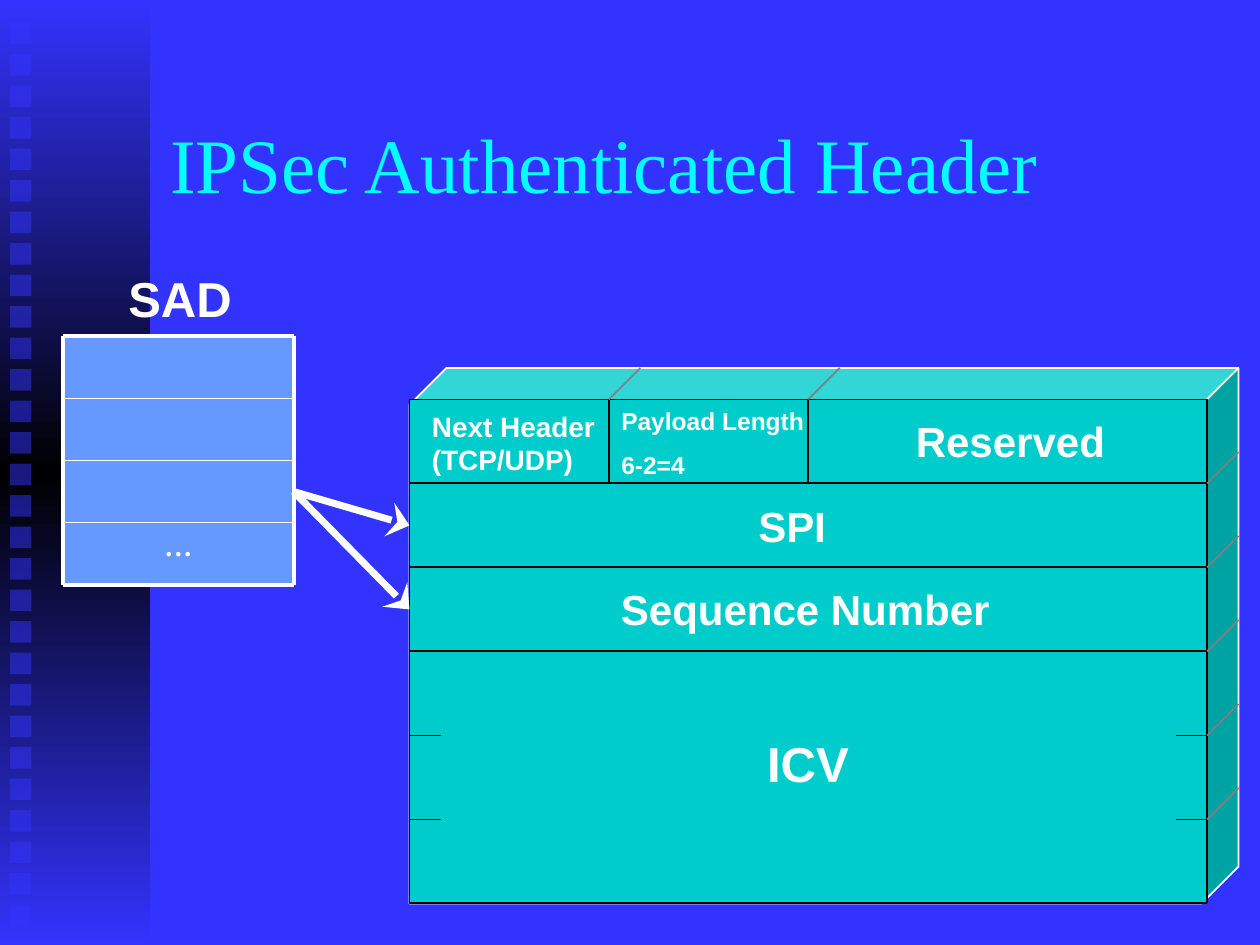
import copy
from dataclasses import dataclass

import pptx
import pptx.dml.color
import pptx.enum.dml
import pptx.enum.shapes
import pptx.enum.text
import pptx.util
from pptx.util import Inches

Shape = pptx.enum.shapes.MSO_SHAPE
Align = pptx.enum.text.PP_ALIGN
Anchor = pptx.enum.text.MSO_ANCHOR
Fit = pptx.enum.text.MSO_AUTO_SIZE


def rgb(code):
    return pptx.dml.color.RGBColor.from_string(code)


@dataclass(frozen=True)
class Theme:
    back: str = "3333FF"
    dark: str = "000000"
    white: str = "FFFFFF"
    cyan: str = "00FFFF"
    teal: str = "00CCCC"
    sky: str = "6699FF"
    gray: str = "808080"
    sans: str = "Arial"
    serif: str = "Times New Roman"
    title: float = 44
    large: float = 28
    field: float = 24
    small: float = 16
    tiny: float = 14


T = Theme()


def block(slide, box, fill, line=None, kind=Shape.RECTANGLE):
    shape = slide.shapes.add_shape(kind, *map(Inches, box))
    shape.shadow.inherit = False
    shape.fill.solid()
    shape.fill.fore_color.rgb = rgb(fill)
    if line:
        shape.line.color.rgb = rgb(line)
        shape.line.width = pptx.util.Pt(1)
    else:
        shape.line.fill.background()
    return shape


def rule(slide, start, end, color, width=1):
    line = slide.shapes.add_connector(
        pptx.enum.shapes.MSO_CONNECTOR.STRAIGHT, *map(Inches, start + end))
    line.line.color.rgb = rgb(color)
    line.line.width = pptx.util.Pt(width)
    props = line._element.spPr
    props.append(props.makeelement(pptx.oxml.ns.qn("a:effectLst"), {}))
    return line


def style(para, size, color=T.white, face=T.sans, bold=True):
    font = para.font
    font.size, font.name, font.bold = pptx.util.Pt(size), face, bold
    font.color.rgb = rgb(color)


def label(slide, box, lines, size, wrap=False, gap=0):
    frame = slide.shapes.add_textbox(*map(Inches, box)).text_frame
    frame.word_wrap = wrap
    frame.auto_size = Fit.SHAPE_TO_FIT_TEXT
    for i, line in enumerate(lines):
        para = frame.add_paragraph() if i else frame.paragraphs[0]
        para.text = line
        if i:
            para.space_before = pptx.util.Pt(gap)
        style(para, size)


def rail(slide, box):
    """Shaded band on the left with a column of small squares."""
    left, top, _, _ = box
    band = block(slide, box, T.back)
    band.fill.gradient()
    band.fill.gradient_angle = 90
    stops = band.fill.gradient_stops
    for stop, color, place in zip(stops, (T.back, T.dark), (0, 0.5)):
        stop.color.rgb = rgb(color)
        stop.position = place
    grad = band._element.spPr.find(".//" + pptx.oxml.ns.qn("a:gsLst"))
    last = copy.deepcopy(grad[0])
    last.set("pos", "100000")
    grad.append(last)
    for i in range(29):
        dot = block(slide, (left + 0.08, top + 0.18 + 0.25 * i, 0.17, 0.17), T.back)
        color = dot._element.spPr.find(".//" + pptx.oxml.ns.qn("a:srgbClr"))
        color.append(color.makeelement(pptx.oxml.ns.qn("a:alpha"), {"val": "50000"}))


def heading(slide, box, text):
    title = slide.shapes.title
    title.left, title.top, title.width, title.height = map(Inches, box)
    frame = title.text_frame
    frame.text = text
    frame.word_wrap = True
    frame.auto_size = Fit.NONE
    frame.vertical_anchor = Anchor.MIDDLE
    para = frame.paragraphs[0]
    para.alignment = Align.LEFT
    style(para, T.title, T.cyan, T.serif, False)


def store(slide, box):
    """Draw the SAD list and return its cells from top to bottom."""
    left, top, width, height = box
    right, base, count = left + width, top + height, 4
    step = height / count
    cells = [block(slide, (left, top + i * step, width, step), T.sky)
             for i in range(count)]
    frame = cells[-1].text_frame
    frame.text = "…"
    frame.vertical_anchor = Anchor.TOP
    frame.paragraphs[0].alignment = Align.CENTER
    style(frame.paragraphs[0], T.small, face=T.serif)
    for i in range(count + 1):
        y = top + i * step
        rule(slide, (left, y), (right, y), T.white, 1 if 0 < i < count else 2.25)
    for x in (left, right):
        rule(slide, (x, top), (x, base), T.white, 2.25)
    label(slide, (left + 0.42, top - 0.59, 1.06, 0.57), ["SAD"], T.large)
    return cells


def header(slide, box):
    """Draw the header block and return its SPI and sequence rows."""
    left, top, width, height = box
    right, deep = left + width, 0.25
    row, part = height / 6, width / 4

    cube = block(slide, (left, top - deep, width + deep, height + deep),
                 T.teal, T.white, Shape.CUBE)
    cube.adjustments[0] = 0.069
    block(slide, box, T.teal, T.white)
    spi, seq, _ = [block(slide, (left, top + row * n, width, row * span), T.teal, T.dark)
                   for n, span in ((1, 1), (2, 1), (3, 3))]
    for n, span in ((0, 1), (1, 1), (2, 2)):
        block(slide, (left + part * n, top, part * span, row), T.teal, T.dark)

    for n in (4, 5):
        y = top + row * n
        for x in (left, right - deep):
            rule(slide, (x, y), (x + deep, y), T.dark)
    seams = [(right, top + row * n) for n in range(1, 6)]
    seams += [(left + part * n, top) for n in (1, 2)]
    for x, y in seams:
        rule(slide, (x, y), (x + deep, y - deep), T.gray)

    for x, y, w, h, text, size in (
            (2.67, 0.75, 0.8, 0.5, "SPI", T.field),
            (1.58, 1.41, 3.2, 0.5, "Sequence Number", T.field),
            (2.74, 2.6, 0.92, 0.57, "ICV", T.large),
            (3.92, 0.08, 1.76, 0.5, "Reserved", T.field)):
        label(slide, (left + x, top + y, w, h), [text], size)
    label(slide, (left + 0.08, top + 0.03, 1.67, 0.64),
          ["Next Header\v(TCP/UDP)"], T.small, True)
    label(slide, (left + part, top, 1.67, 0.69),
          ["Payload Length", "6-2=4"], T.tiny, True, 8.8)
    return spi, seq


def arrow(slide, start, end):
    line = rule(slide, (0, 0), (1, 1), T.white, 4)
    line.begin_connect(start, 3)
    line.end_connect(end, 1)
    stroke = line.line._get_or_add_ln()
    stroke.append(stroke.makeelement(
        pptx.oxml.ns.qn("a:tailEnd"), {"type": "stealth", "w": "lg", "len": "med"}))


def main():
    deck = pptx.Presentation()
    deck.slide_width, deck.slide_height = Inches(10), Inches(7.5)
    slide = deck.slides.add_slide(deck.slide_layouts[5])
    slide.background.fill.solid()
    slide.background.fill.fore_color.rgb = rgb(T.back)
    rail(slide, (0, 0, 1.19, 7.5))
    heading(slide, (1.25, 0.67, 8.5, 1.25), "IPSec Authenticated Header")
    rows = header(slide, (3.25, 3.17, 6.33, 4))
    cells = store(slide, (0.5, 2.67, 1.83, 1.97))
    for row in rows:
        arrow(slide, cells[2], row)
    deck.save("out.pptx")


if __name__ == "__main__":
    main()
